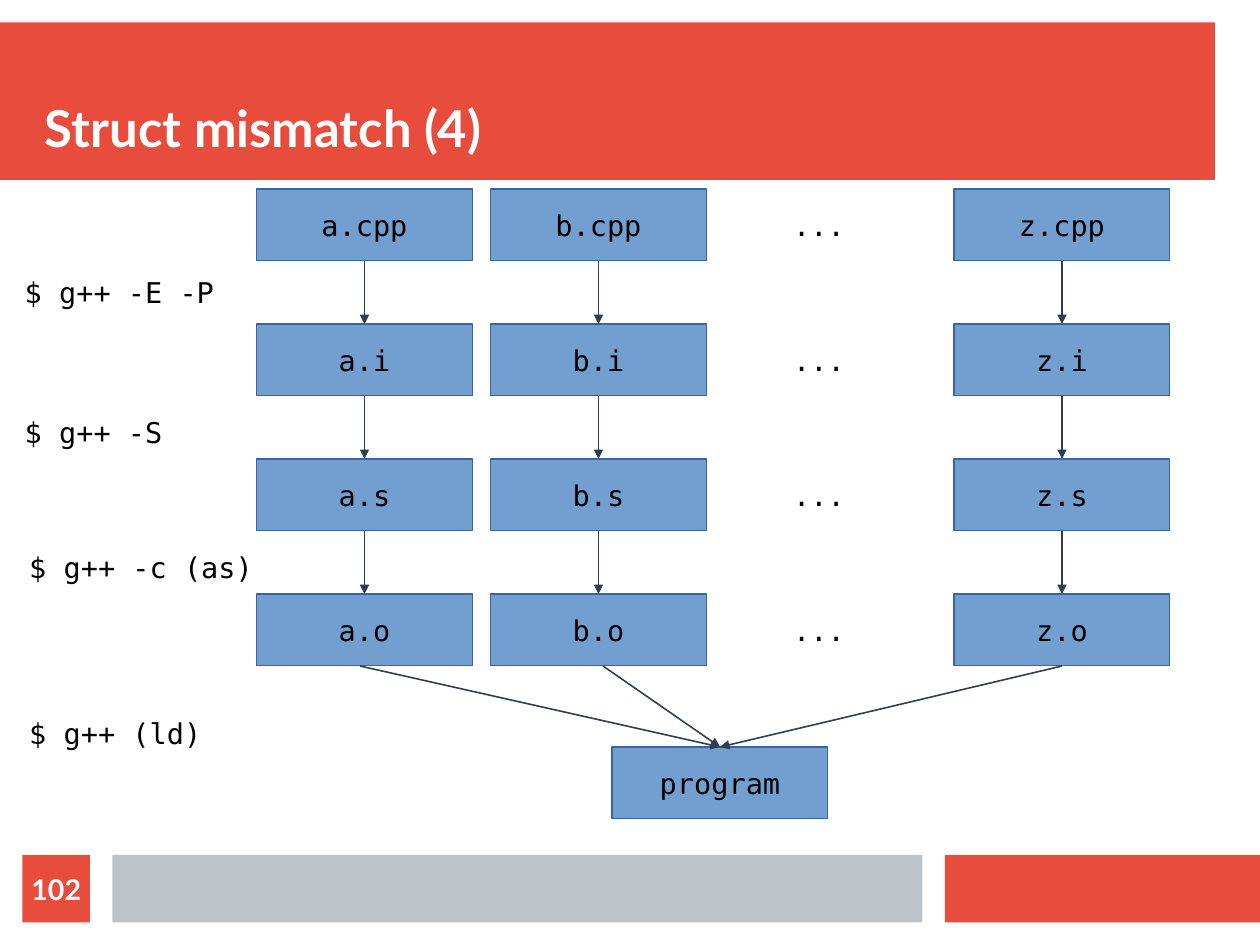
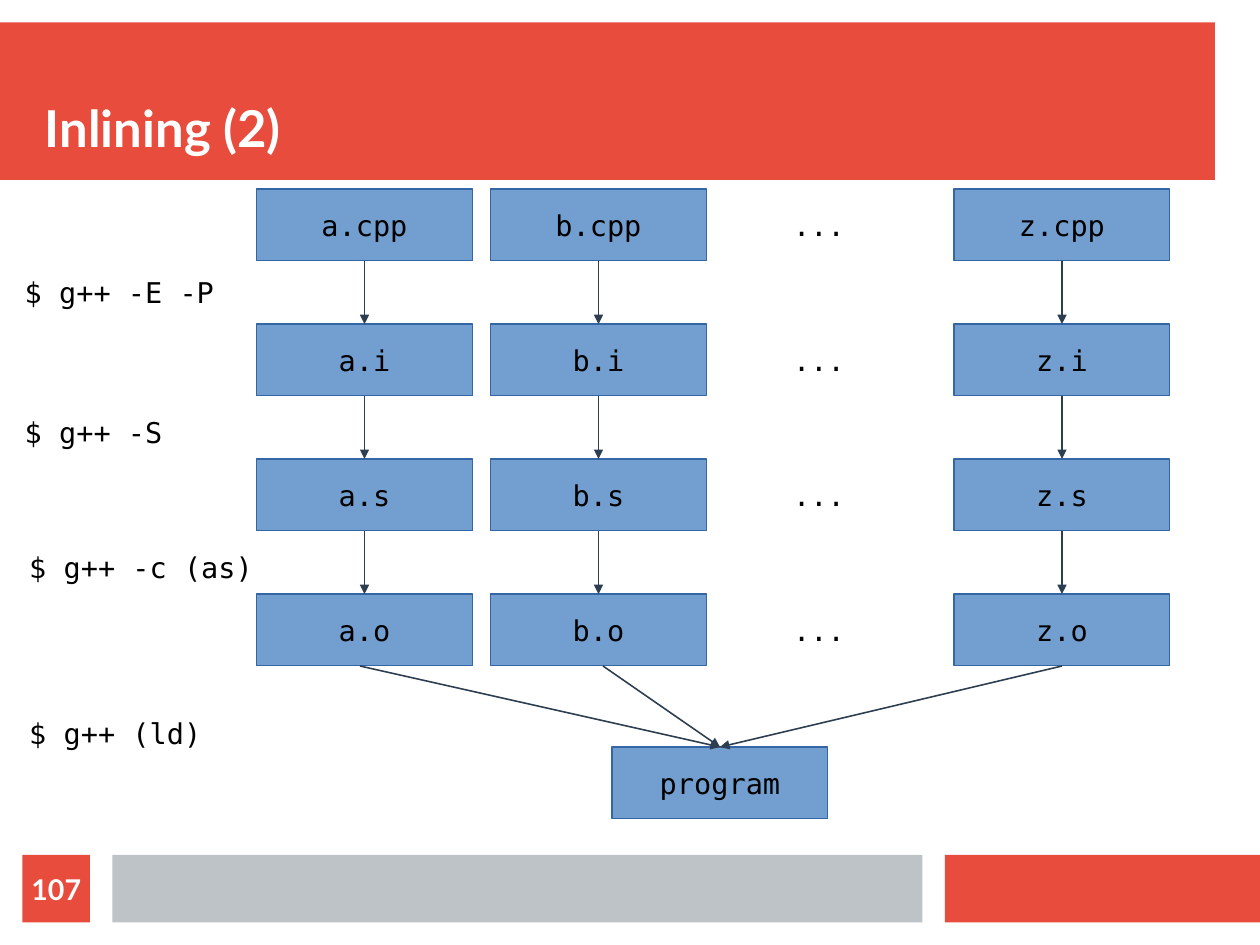
from lxml.etree import SubElement
from pptx import Presentation
from pptx.dml.color import RGBColor
from pptx.enum.shapes import MSO_CONNECTOR, MSO_SHAPE
from pptx.enum.text import MSO_ANCHOR as ANCHOR, MSO_AUTO_SIZE, PP_ALIGN as ALIGN
from pptx.oxml.ns import qn
from pptx.util import Cm, Pt

RED, GREY, BLUE, EDGE, DARK = "E74C3C", "BDC3C7", "729FCF", "3465A4", "2C3E50"
BLACK, WHITE = "000000", "FFFFFF"
BANDS = [(0, 0.5, 27, 3.5, RED), (21, 19, 7, 1.5, RED), (2.5, 19, 18, 1.5, GREY)]
BOX_W, BOX_H = 4.8, 1.6
COLUMNS = {"a": 5.7, "b": 10.9, "z": 21.2}
DOTS_X = 15.8
ROWS = {ext: 4.2 + 3 * i for i, ext in enumerate(["cpp", "i", "s", "o"])}
PROGRAM = (13.6, 16.6)
LINK_STARTS = [8, 13.4, 23.6]
COMMANDS = [
    ("$ g++ -E -P", 0.3, 5.6, 4.8),
    ("$ g++ -S", 0.3, 8.7, 4.8),
    ("$ g++ -c (as)", 0.4, 11.7, 5.5),
    ("$ g++ (ld)", 0.4, 15.4, 4.8),
]


def rgb(value):
    return RGBColor.from_string(value)


class Deck:
    CODE = {"name": "DejaVu Sans Mono", "size": Pt(18), "bold": False}
    TITLE = {"name": "Lato", "size": Pt(32), "bold": True}
    NUMBER = {"name": "Lato", "size": Pt(18), "bold": True}
    FLUSH = dict.fromkeys(
        ["margin_left", "margin_right", "margin_top", "margin_bottom"], 0)

    def __init__(self):
        self.prs = Presentation()
        self.prs.slide_width, self.prs.slide_height = Cm(28), Cm(21)
        self.layout = self.prs.slide_layouts[5]
        self.slide = None

    def add_slide(self, title, number):
        first = self.slide is None
        self.slide = self.prs.slides.add_slide(self.layout)
        if first:
            self.move_bands_to_layout()
        s = self.slide.shapes.title
        s.left, s.top, s.width, s.height = Cm(1), Cm(1), Cm(26), Cm(2.5)
        self.put_text(s, title, self.TITLE, WHITE, ALIGN.LEFT,
                      vertical_anchor=ANCHOR.BOTTOM, **self.FLUSH)
        s = self.rect(0.5, 19, 1.5, 1.5, RED)
        self.put_text(s, str(number), self.NUMBER, WHITE, **self.FLUSH)

    def move_bands_to_layout(self):
        for i, band in enumerate(BANDS):
            self.layout.shapes.element.insert(2 + i, self.rect(*band).element)

    def rect(self, x, y, w, h, fill):
        s = self.slide.shapes.add_shape(
            MSO_SHAPE.RECTANGLE, Cm(x), Cm(y), Cm(w), Cm(h))
        s.shadow.inherit = False
        s.fill.solid()
        s.fill.fore_color.rgb = rgb(fill)
        s.line.fill.background()
        return s

    def put_text(self, s, text, font, color, align=ALIGN.CENTER, **frame):
        tf = s.text_frame
        style = {"word_wrap": True, "auto_size": MSO_AUTO_SIZE.NONE,
                 "vertical_anchor": ANCHOR.MIDDLE, **frame}
        for key, value in style.items():
            setattr(tf, key, value)
        p = tf.paragraphs[0]
        p.alignment = align
        r = p.add_run()
        r.text = text
        for key, value in font.items():
            setattr(r.font, key, value)
        r.font.color.rgb = rgb(color)

    def box(self, text, x, y):
        s = self.rect(x, y, BOX_W, BOX_H, BLUE)
        s.line.color.rgb = rgb(EDGE)
        s.line.width = Pt(0)
        self.put_text(s, text, self.CODE, BLACK)

    def label(self, text, x, y, w, h, align=ALIGN.LEFT):
        s = self.slide.shapes.add_textbox(Cm(x), Cm(y), Cm(w), Cm(h))
        self.put_text(s, text, self.CODE, BLACK, align)

    def arrow(self, x1, y1, x2, y2):
        s = self.slide.shapes.add_connector(
            MSO_CONNECTOR.STRAIGHT, Cm(x1), Cm(y1), Cm(x2), Cm(y2))
        s.line.color.rgb = rgb(DARK)
        s.line.width = Pt(1)
        props = s.element.spPr
        SubElement(props.find(qn("a:ln")), qn("a:tailEnd"), type="triangle")
        SubElement(props, qn("a:effectLst"))

    def build_steps(self):
        tops = list(ROWS.values())
        for name, x in COLUMNS.items():
            for ext, y in ROWS.items():
                self.box(f"{name}.{ext}", x, y)
            center = x + BOX_W / 2
            for y, below in zip(tops, tops[1:]):
                self.arrow(center, y + BOX_H, center, below)
        for y in tops:
            self.label("...", DOTS_X, y, BOX_W, BOX_H, ALIGN.CENTER)
        for text, x, y, w in COMMANDS:
            self.label(text, x, y, w, 1.8)
        x, y = PROGRAM
        self.box("program", x, y)
        for start in LINK_STARTS:
            self.arrow(start, tops[-1] + BOX_H, x + BOX_W / 2, y)


def main():
    deck = Deck()
    for title, number in [("Struct mismatch (4)", 102), ("Inlining (2)", 107)]:
        deck.add_slide(title, number)
        deck.build_steps()
    deck.prs.save("out.pptx")


if __name__ == "__main__":
    main()
